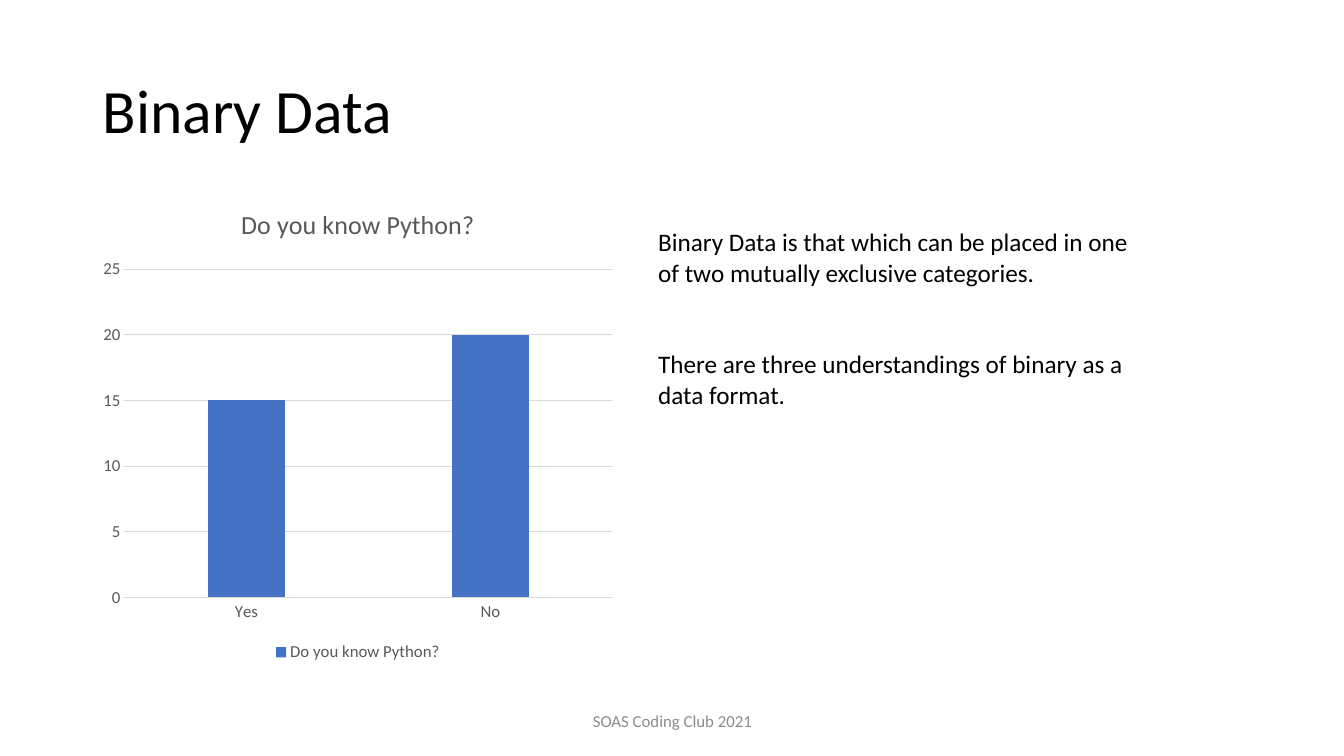
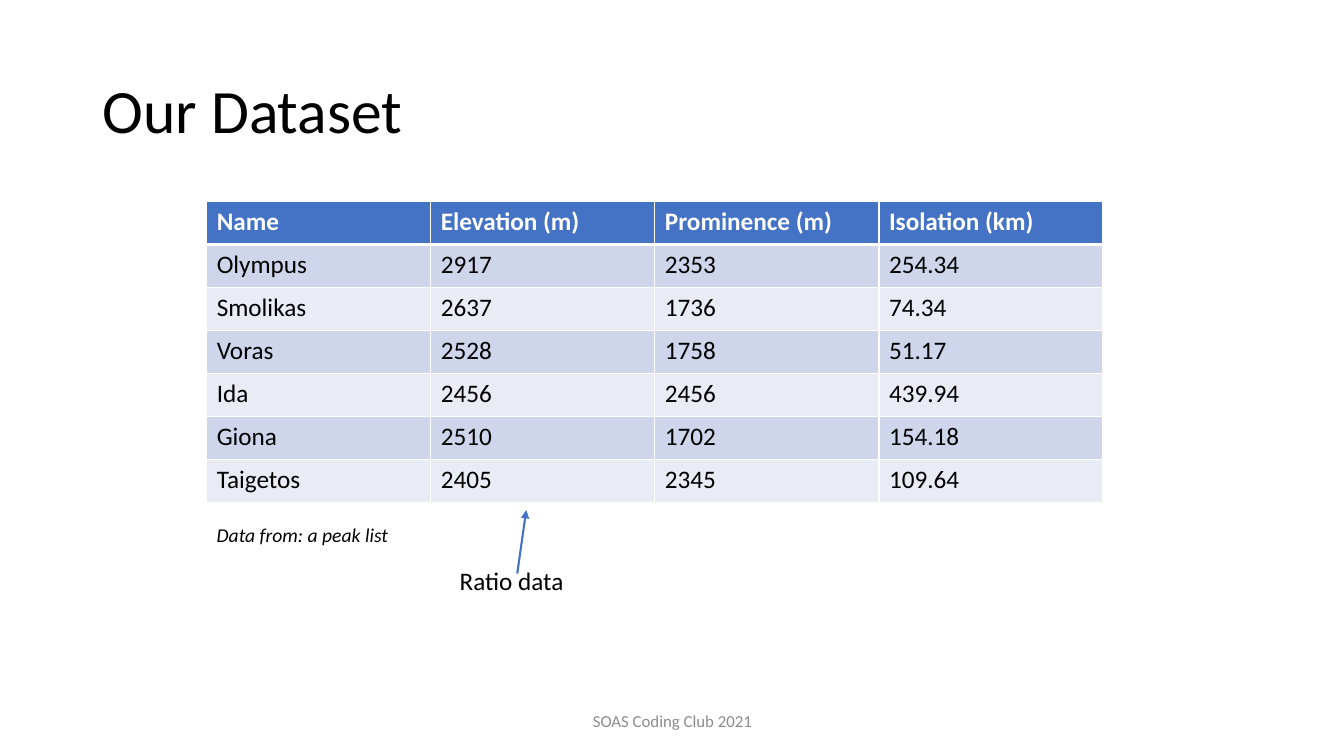
"""Build two slides on data types: a binary data chart and a mountain dataset."""
from lxml.etree import SubElement
from pptx import Presentation
from pptx.chart.data import CategoryChartData
from pptx.dml.color import RGBColor
from pptx.enum.chart import XL_CHART_TYPE, XL_LEGEND_POSITION, XL_TICK_MARK
from pptx.enum.shapes import MSO_CONNECTOR
from pptx.enum.text import MSO_ANCHOR, PP_ALIGN
from pptx.oxml.ns import qn
from pptx.util import Inches, Pt

FONT = "Calibri"
COLORS = {
    "text": "000000",
    "white": "FFFFFF",
    "accent": "4472C4",
    "band_dark": "CFD5EA",
    "band_light": "E9EBF5",
    "footer": "8C8C8C",
    "chart_text": "595959",
    "grid": "D9D9D9",
}
FOOTER = "SOAS Coding Club 2021"

BINARY_TITLE = "Binary Data"
BINARY_NOTES = [
    "Binary Data is that which can be placed in one of two mutually exclusive categories.",
    "There are three understandings of binary as a data format.",
]
QUESTION = "Do you know Python?"
ANSWERS = {"Yes": 15, "No": 20}

DATASET_TITLE = "Our Dataset"
DATASET = [
    ("Name", "Elevation (m)", "Prominence (m)", "Isolation (km)"),
    ("Olympus", "2917", "2353", "254.34"),
    ("Smolikas", "2637", "1736", "74.34"),
    ("Voras", "2528", "1758", "51.17"),
    ("Ida", "2456", "2456", "439.94"),
    ("Giona", "2510", "1702", "154.18"),
    ("Taigetos", "2405", "2345", "109.64"),
]
DATA_SOURCE = "Data from: a peak list"
COLUMN_LABEL = "Ratio data"


def rgb(name):
    return RGBColor.from_string(COLORS[name])


def style_font(font, size, color="text", bold=False, italic=False):
    font.name = FONT
    font.size = Pt(size)
    font.bold = bold
    font.italic = italic
    font.color.rgb = rgb(color)


def add_text(s, box, paragraphs, size, color="text", italic=False,
             anchor=MSO_ANCHOR.TOP, align=PP_ALIGN.LEFT, spacing=None, gap=0):
    tf = s.shapes.add_textbox(*map(Inches, box)).text_frame
    tf.word_wrap = True
    tf.vertical_anchor = anchor
    for i, text in enumerate(paragraphs):
        p = tf.add_paragraph() if i else tf.paragraphs[0]
        p.alignment = align
        p.line_spacing = spacing
        if i:
            p.space_before = Pt(gap)
        r = p.add_run()
        r.text = text
        style_font(r.font, size, color, italic=italic)


def add_base_slide(prs, title):
    s = prs.slides.add_slide(prs.slide_layouts[6])
    add_text(s, (0.92, 0.4, 11.5, 1.45), [title], 44,
             anchor=MSO_ANCHOR.MIDDLE, spacing=0.9)
    add_text(s, (4.42, 6.95, 4.5, 0.4), [FOOTER], 12, "footer",
             anchor=MSO_ANCHOR.MIDDLE, align=PP_ALIGN.CENTER)
    return s


def style_line(line, color, width):
    line.color.rgb = rgb(color)
    line.width = Pt(width)


def add_answer_chart(s):
    data = CategoryChartData()
    data.categories = list(ANSWERS)
    data.add_series(QUESTION, list(ANSWERS.values()))
    box = map(Inches, (0.92, 1.85, 5.26, 4.76))
    chart = s.shapes.add_chart(XL_CHART_TYPE.COLUMN_CLUSTERED, *box, data).chart
    style_font(chart.font, 12, "chart_text")

    chart.has_title = True
    r = chart.chart_title.text_frame.paragraphs[0].add_run()
    r.text = QUESTION
    style_font(r.font, 18.6, "chart_text")
    chart.chart_title.include_in_layout = False

    chart.has_legend = True
    chart.legend.position = XL_LEGEND_POSITION.BOTTOM
    chart.legend.include_in_layout = False
    style_font(chart.legend.font, 12, "chart_text")

    for axis in (chart.category_axis, chart.value_axis):
        axis.major_tick_mark = XL_TICK_MARK.NONE
        axis.minor_tick_mark = XL_TICK_MARK.NONE
        style_font(axis.tick_labels.font, 12, "chart_text")
    style_line(chart.category_axis.format.line, "grid", 0.75)
    values = chart.value_axis
    values.minimum_scale, values.maximum_scale, values.major_unit = 0, 25, 5
    values.format.line.fill.background()
    style_line(values.major_gridlines.format.line, "grid", 0.75)

    plot = chart.plots[0]
    plot.gap_width = 219
    plot.overlap = -27
    plot.vary_by_categories = False
    fill = plot.series[0].format.fill
    fill.solid()
    fill.fore_color.rgb = rgb("accent")


def set_borders(cell, widths):
    tc_pr = cell._tc.get_or_add_tcPr()
    for i, (side, width) in enumerate(widths.items()):
        ln = tc_pr.makeelement(qn(f"a:{side}"), {"w": str(Pt(width))})
        fill = SubElement(ln, qn("a:solidFill"))
        SubElement(fill, qn("a:srgbClr"), val=COLORS["white"])
        tc_pr.insert(i, ln)


def add_dataset_table(s):
    rows, cols = len(DATASET), len(DATASET[0])
    box = map(Inches, (2.05, 2, 8.89, 2.99))
    table = s.shapes.add_table(rows, cols, *box).table
    for i, record in enumerate(DATASET):
        header = i == 0
        band = "accent" if header else ("band_light", "band_dark")[i % 2]
        widths = {"lnL": 1, "lnR": 1, "lnT": 3 if i == 1 else 1,
                  "lnB": 3 if header else 1}
        for j, text in enumerate(record):
            cell = table.cell(i, j)
            cell.fill.solid()
            cell.fill.fore_color.rgb = rgb(band)
            r = cell.text_frame.paragraphs[0].add_run()
            r.text = text
            style_font(r.font, 18, "white" if header else "text", bold=header)
            set_borders(cell, widths)


def add_arrow(s, start, end):
    ends = map(Inches, start + end)
    arrow = s.shapes.add_connector(MSO_CONNECTOR.STRAIGHT, *ends)
    style_line(arrow.line, "accent", 1.5)
    sp_pr = arrow._element.spPr
    SubElement(sp_pr.find(qn("a:ln")), qn("a:tailEnd"), type="triangle")
    SubElement(sp_pr, qn("a:effectLst"))


def main():
    prs = Presentation()
    prs.slide_width, prs.slide_height = Inches(13.33), Inches(7.5)

    s = add_base_slide(prs, BINARY_TITLE)
    add_answer_chart(s)
    add_text(s, (6.43, 2.2, 4.94, 1.92), BINARY_NOTES, 18, gap=44)

    s = add_base_slide(prs, DATASET_TITLE)
    add_dataset_table(s)
    add_text(s, (2.05, 5.14, 2.21, 0.34), [DATA_SOURCE], 14, italic=True)
    add_arrow(s, (5.13, 5.69), (5.22, 5.06))
    add_text(s, (4.46, 5.56, 1.35, 0.4), [COLUMN_LABEL], 18)

    prs.save("out.pptx")


if __name__ == "__main__":
    main()
